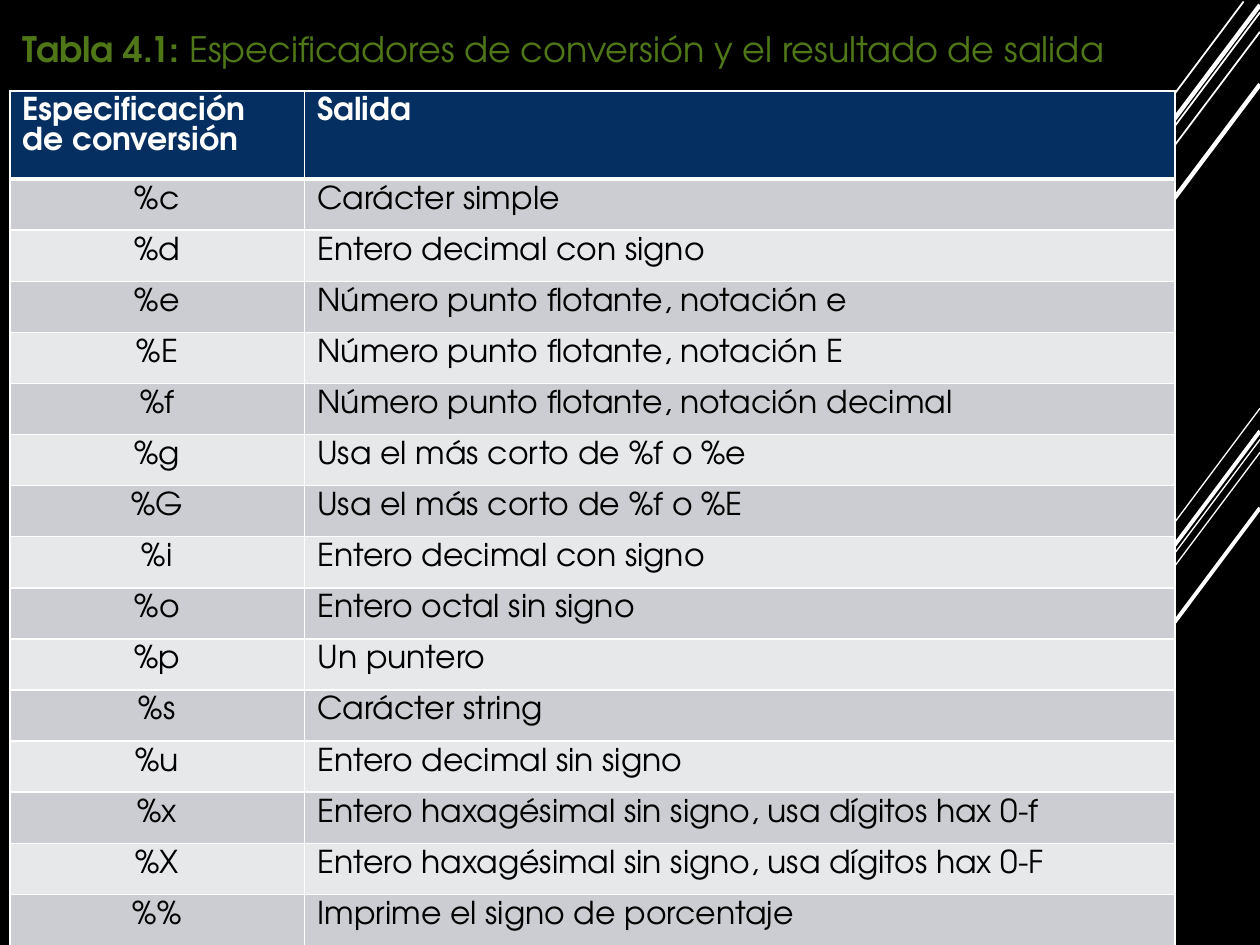
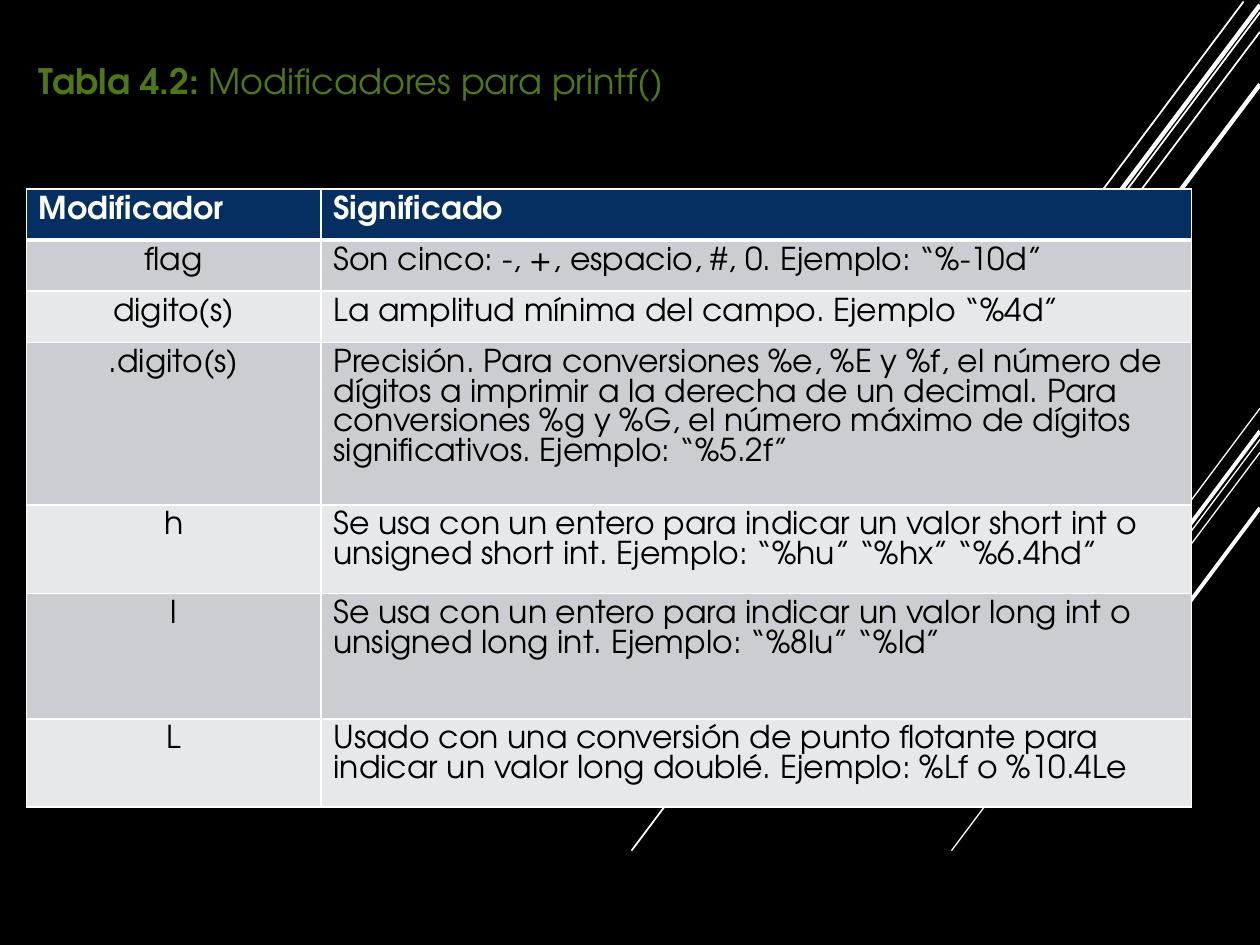
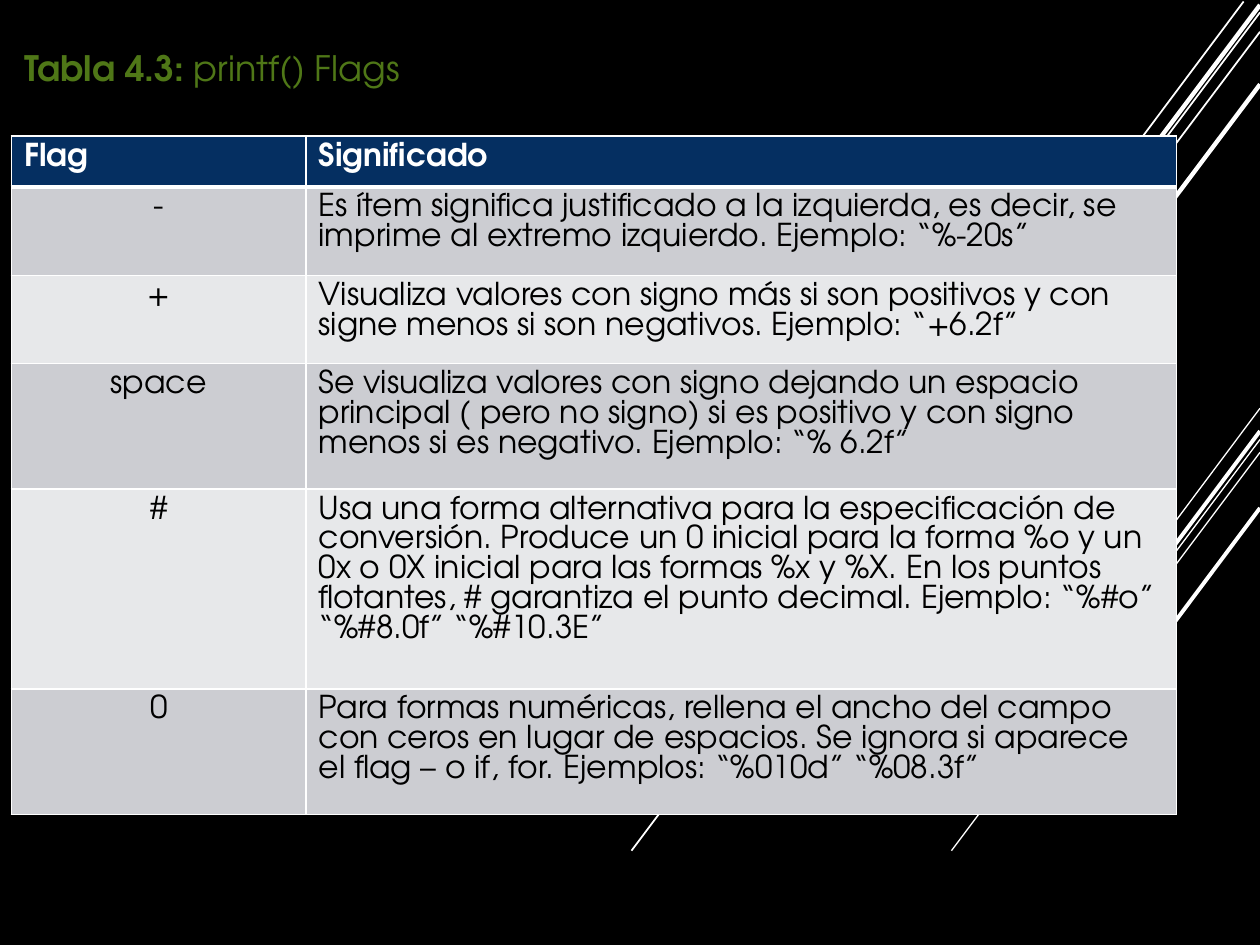
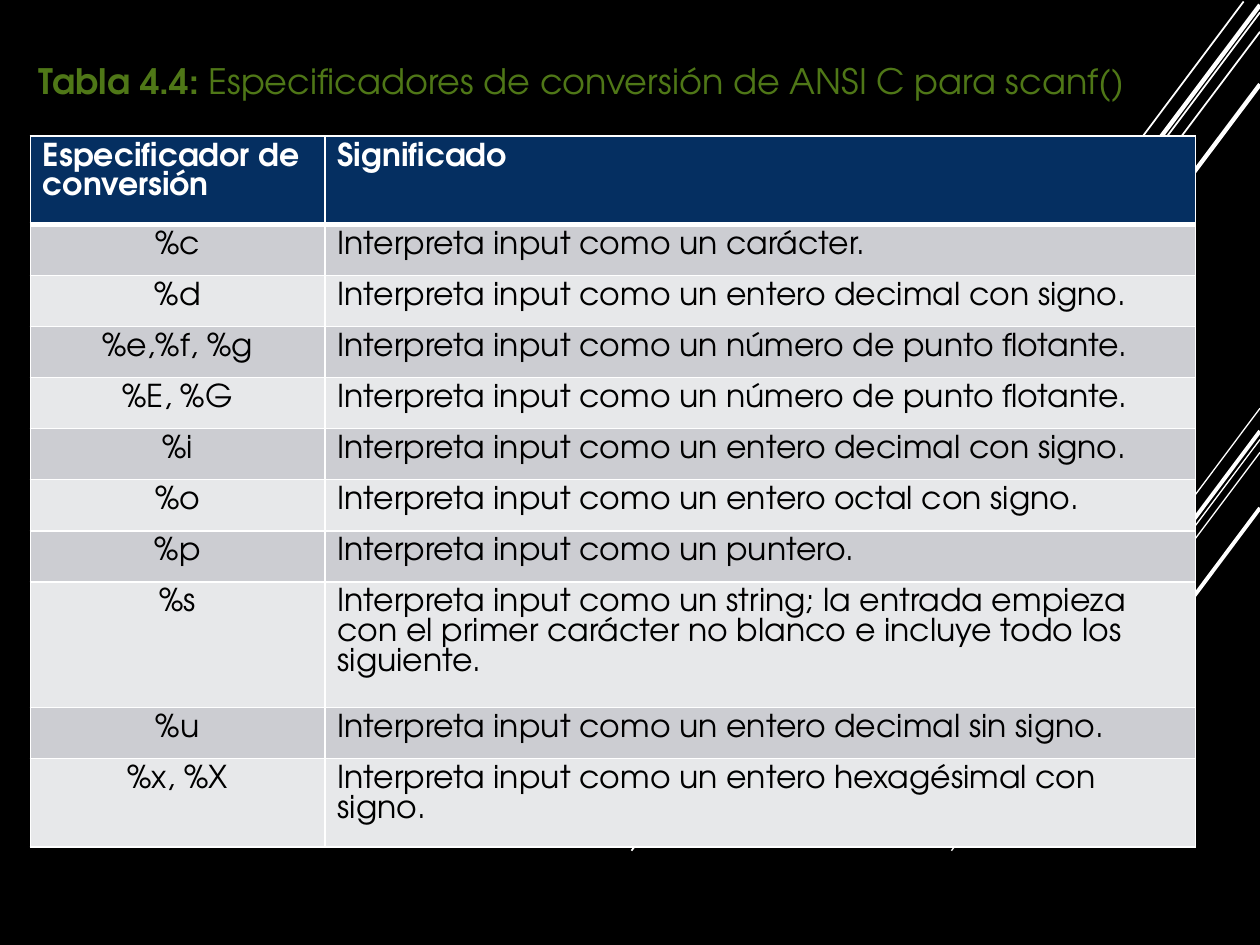
from dataclasses import dataclass
from itertools import count

from lxml.etree import SubElement
from pptx import Presentation
from pptx.dml.color import RGBColor
from pptx.enum.shapes import MSO_CONNECTOR
from pptx.enum.text import MSO_ANCHOR, MSO_AUTO_SIZE, PP_ALIGN
from pptx.oxml.ns import qn
from pptx.util import Cm, Pt

FONT = "TeX Gyre Adventor"
BLACK, WHITE, GREEN, NAVY = "000000", "FFFFFF", "4F7717", "052F61"
BANDS = ("CCCDD2", "E7E8EA")
TITLE_SIZE, CELL_SIZE, CELL_LEADING = Pt(20), Pt(18), Pt(17)
TITLE_WIDTH, TITLE_HEIGHT = Cm(24.13), Cm(4.52)
COLUMN_WIDTHS = (Cm(5.94), Cm(17.55))
ROW_PADDING, LINE_HEIGHT = 0.28, 0.75  # cm
RULE_WIDTH, HEADER_RULE_WIDTH = Pt(1), Pt(3)
TITLE_ONLY = 5


@dataclass(frozen=True)
class Ray:
    """Diagonal line of the background, in cm and points."""
    x1: float
    y1: float
    x2: float
    y2: float
    weight: float


@dataclass(frozen=True)
class Row:
    term: str
    meaning: str
    lines: int = 1


@dataclass(frozen=True)
class TableSlide:
    number: str
    caption: str
    title_at: tuple[float, float]
    table_at: tuple[float, float]
    header: Row
    rows: tuple[Row, ...]


RAYS = (
    Ray(25.4, 8.23, 23.5, 10.77, 0.75),
    Ray(25.4, 8.86, 19.18, 17.15, 0.75),
    Ray(25.4, 9.12, 21.44, 14.4, 0.75),
    Ray(25.4, 8.69, 21.77, 13.54, 2.25),
    Ray(25.4, 10.24, 22.76, 13.77, 2.25),
    Ray(25.07, 0.03, 17.15, 10.62, 1),
    Ray(25.4, 0.25, 12.73, 17.15, 1),
    Ray(25.4, 0.64, 15.06, 14.4, 1),
    Ray(25.4, 0.1, 15.29, 13.56, 2.5),
    Ray(25.4, 1.7, 16.33, 13.77, 2.5),
)

SLIDES = (
    TableSlide(
        "Tabla 4.1:", " Especificadores de conversión y el resultado de salida",
        (0.2, 0.43), (0.2, 1.83),
        Row("Especificación de conversión", "Salida", 2),
        (
            Row("%c", "Carácter simple"),
            Row("%d", "Entero decimal con signo"),
            Row("%e", "Número punto flotante, notación e"),
            Row("%E", "Número punto flotante, notación E"),
            Row("%f", "Número punto flotante, notación decimal"),
            Row("%g", "Usa el más corto de %f o %e"),
            Row("%G", "Usa el más corto de %f o %E"),
            Row("%i", "Entero decimal con signo"),
            Row("%o", "Entero octal sin signo"),
            Row("%p", "Un puntero"),
            Row("%s", "Carácter string"),
            Row("%u", "Entero decimal sin signo"),
            Row("%x", "Entero haxagésimal sin signo, usa dígitos hax 0-f"),
            Row("%X", "Entero haxagésimal sin signo, usa dígitos hax 0-F"),
            Row("%%", "Imprime el signo de porcentaje"),
        ),
    ),
    TableSlide(
        "Tabla 4.2:", " Modificadores para printf()",
        (0.53, 1.07), (0.53, 3.81),
        Row("Modificador", "Significado"),
        (
            Row("flag", "Son cinco: -, +, espacio, #, 0. Ejemplo: “%-10d”"),
            Row("digito(s)", "La amplitud mínima del campo. Ejemplo “%4d”"),
            Row(".digito(s)",
                "Precisión. Para conversiones %e, %E y %f, el número de "
                "dígitos a imprimir a la derecha de un decimal. Para "
                "conversiones %g y %G, el número máximo de dígitos "
                "significativos. Ejemplo: “%5.2f”", 4),
            Row("h",
                "Se usa con un entero para indicar un valor short int o "
                "unsigned short int. Ejemplo: “%hu” “%hx” “%6.4hd”", 2),
            Row("l",
                "Se usa con un entero para indicar un valor long int o "
                "unsigned long int. Ejemplo: “%8lu” “%ld”", 3),
            Row("L",
                "Usado con una conversión de punto flotante para "
                "indicar un valor long doublé. Ejemplo: %Lf o %10.4Le", 2),
        ),
    ),
    TableSlide(
        "Tabla 4.3:", " printf() Flags",
        (0.23, 0.81), (0.23, 2.74),
        Row("Flag", "Significado"),
        (
            Row("-",
                "Es ítem significa justificado a la izquierda, es decir, se "
                "imprime al extremo izquierdo. Ejemplo: “%-20s”", 2),
            Row("+",
                "Visualiza valores con signo más si son positivos y con "
                "signe menos si son negativos. Ejemplo: “+6.2f”", 2),
            Row("space",
                "Se visualiza valores con signo dejando un espacio "
                "principal ( pero no signo) si es positivo y con signo "
                "menos si es negativo. Ejemplo: “% 6.2f”", 3),
            Row("#",
                "Usa una forma alternativa para la especificación de "
                "conversión. Produce un 0 inicial para la forma %o y un "
                "0x o 0X inicial para las formas %x y %X. En los puntos "
                "flotantes, # garantiza el punto decimal. Ejemplo: “%#o” "
                "“%#8.0f” “%#10.3E”", 5),
            Row("0",
                "Para formas numéricas, rellena el ancho del campo "
                "con ceros en lugar de espacios. Se ignora si aparece "
                "el flag – o if, for. Ejemplos: “%010d” “%08.3f”", 3),
        ),
    ),
    TableSlide(
        "Tabla 4.4:", " Especificadores de conversión de ANSI C para scanf()",
        (0.53, 1.07), (0.61, 2.74),
        Row("Especificador de conversión", "Significado", 2),
        (
            Row("%c", "Interpreta input como un carácter."),
            Row("%d", "Interpreta input como un entero decimal con signo."),
            Row("%e,%f, %g", "Interpreta input como un número de punto flotante."),
            Row("%E, %G", "Interpreta input como un número de punto flotante."),
            Row("%i", "Interpreta input como un entero decimal con signo."),
            Row("%o", "Interpreta input como un entero octal con signo."),
            Row("%p", "Interpreta input como un puntero."),
            Row("%s",
                "Interpreta input como un string; la entrada empieza "
                "con el primer carácter no blanco e incluye todo los "
                "siguiente.", 3),
            Row("%u", "Interpreta input como un entero decimal sin signo."),
            Row("%x, %X",
                "Interpreta input como un entero hexagésimal con signo.", 2),
        ),
    ),
)


def paint(fill, color: str) -> None:
    fill.solid()
    fill.fore_color.rgb = RGBColor.from_string(color)


def add_run(paragraph, text: str, size: Pt, color: str, bold: bool) -> None:
    run = paragraph.add_run()
    run.text = text
    run.font.name = FONT
    run.font.size = size
    run.font.bold = bold
    run.font.color.rgb = RGBColor.from_string(color)


def add_rays(master, slide) -> None:
    """Draw the rays through a slide and hand them to its master."""
    ids = count(101)
    for ray in RAYS:
        connector = slide.shapes.add_connector(
            MSO_CONNECTOR.STRAIGHT, Cm(ray.x1), Cm(ray.y1), Cm(ray.x2), Cm(ray.y2))
        connector.line.width = Pt(ray.weight)
        paint(connector.line.fill, WHITE)
        element = connector.element
        SubElement(element.spPr, qn("a:effectLst"))
        element.nvCxnSpPr.cNvPr.set("id", str(next(ids)))
        master.shapes.element.append(element)


def add_title(slide, content: TableSlide) -> None:
    title = slide.shapes.title
    title.left, title.top = map(Cm, content.title_at)
    title.width, title.height = TITLE_WIDTH, TITLE_HEIGHT
    frame = title.text_frame
    frame.word_wrap = True
    frame.auto_size = MSO_AUTO_SIZE.NONE
    frame.vertical_anchor = MSO_ANCHOR.TOP
    paragraph = frame.paragraphs[0]
    paragraph.alignment = PP_ALIGN.JUSTIFY
    add_run(paragraph, content.number, TITLE_SIZE, GREEN, True)
    add_run(paragraph, content.caption, TITLE_SIZE, GREEN, False)


def set_borders(cell, top: Pt, bottom: Pt) -> None:
    properties = cell._tc.get_or_add_tcPr()
    widths = {"L": RULE_WIDTH, "R": RULE_WIDTH, "T": top, "B": bottom}
    for side, width in widths.items():
        border = SubElement(properties, qn(f"a:ln{side}"), w=str(width))
        border_fill = SubElement(border, qn("a:solidFill"))
        SubElement(border_fill, qn("a:srgbClr"), val=WHITE)


def add_table(slide, content: TableSlide) -> None:
    rows = (content.header, *content.rows)
    heights = [Cm(ROW_PADDING + LINE_HEIGHT * row.lines) for row in rows]
    left, top = map(Cm, content.table_at)
    table = slide.shapes.add_table(
        len(rows), len(COLUMN_WIDTHS), left, top,
        sum(COLUMN_WIDTHS), sum(heights)).table
    for column, width in zip(table.columns, COLUMN_WIDTHS):
        column.width = width
    for index, (row, height) in enumerate(zip(rows, heights)):
        is_header = index == 0
        table.rows[index].height = height
        for column_index, text in enumerate((row.term, row.meaning)):
            cell = table.cell(index, column_index)
            set_borders(
                cell,
                top=HEADER_RULE_WIDTH if index == 1 else RULE_WIDTH,
                bottom=HEADER_RULE_WIDTH if is_header else RULE_WIDTH)
            paint(cell.fill, NAVY if is_header else BANDS[(index - 1) % 2])
            paragraph = cell.text_frame.paragraphs[0]
            paragraph.line_spacing = CELL_LEADING
            centred = column_index == 0 and not is_header
            paragraph.alignment = PP_ALIGN.CENTER if centred else PP_ALIGN.LEFT
            add_run(paragraph, text, CELL_SIZE,
                    WHITE if is_header else BLACK, is_header)


def main() -> None:
    deck = Presentation()
    deck.slide_width, deck.slide_height = Cm(25.4), Cm(19.05)
    master = deck.slide_master
    paint(master.background.fill, BLACK)
    for content in SLIDES:
        slide = deck.slides.add_slide(deck.slide_layouts[TITLE_ONLY])
        add_title(slide, content)
        add_table(slide, content)
    add_rays(master, deck.slides[0])
    deck.save("out.pptx")


if __name__ == "__main__":
    main()
